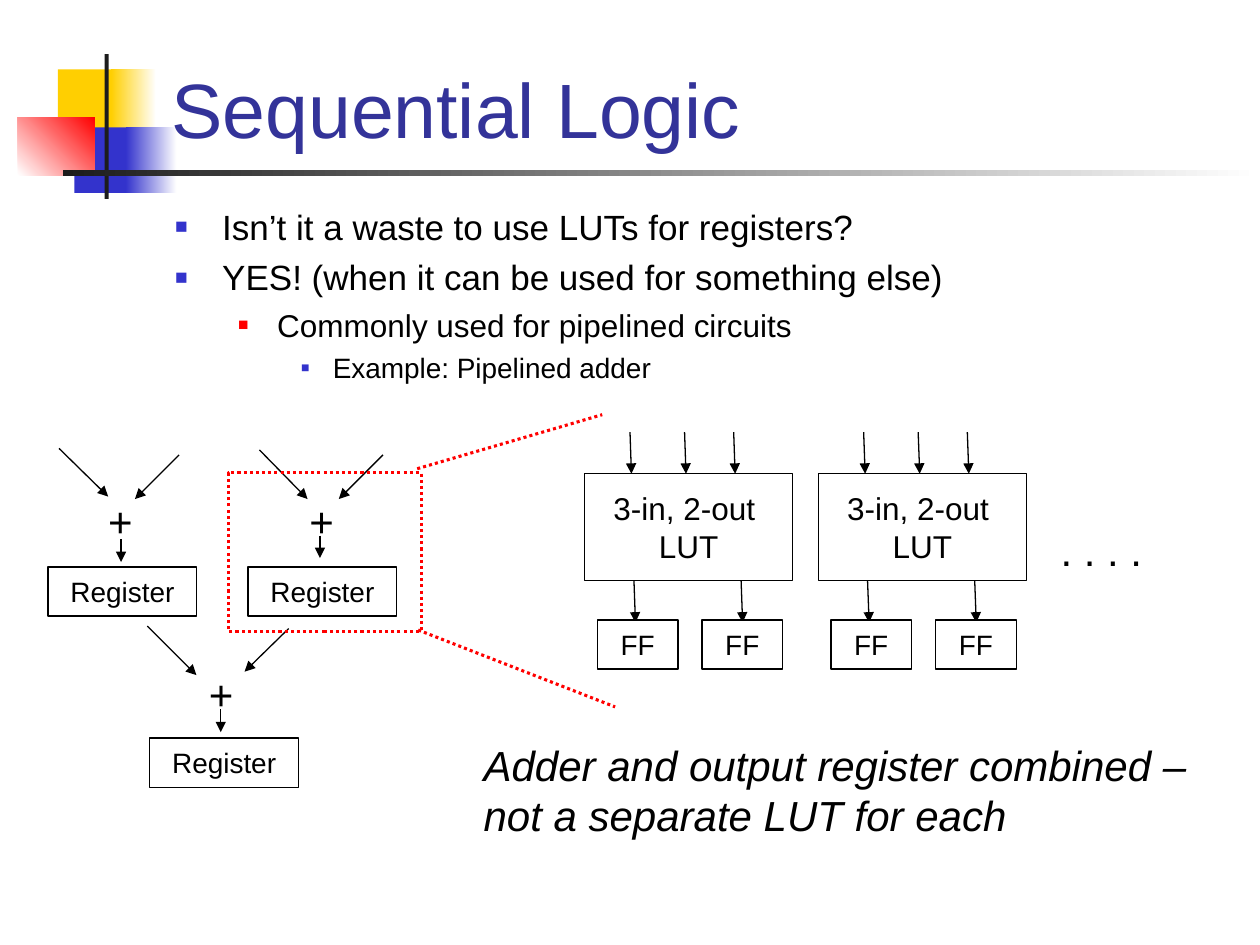
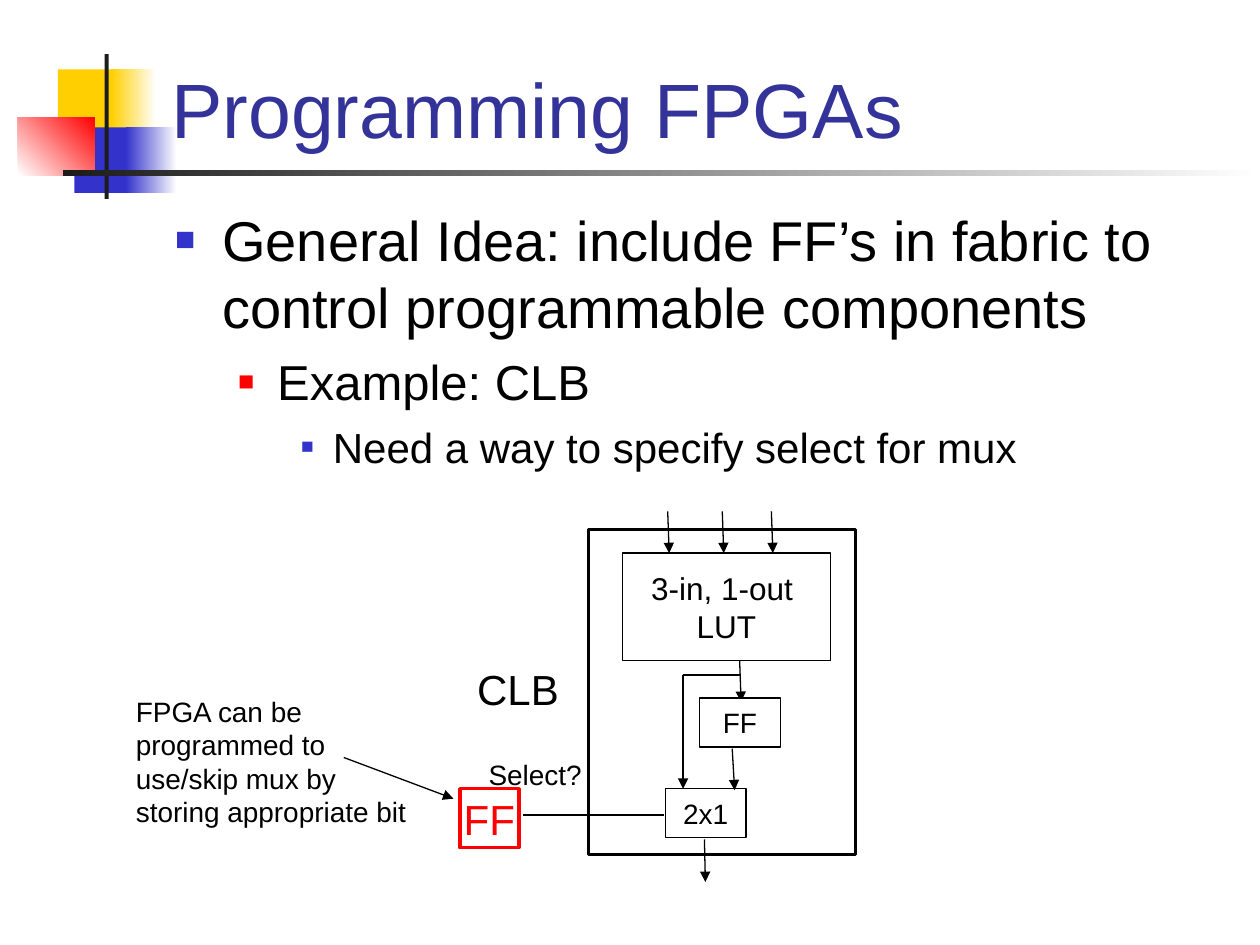
from lxml import etree
from pptx import Presentation
from pptx.dml.color import RGBColor
from pptx.enum.dml import MSO_LINE
from pptx.enum.shapes import MSO_CONNECTOR, MSO_SHAPE
from pptx.enum.text import MSO_ANCHOR, PP_ALIGN
from pptx.oxml.ns import qn
from pptx.util import Cm, Pt

BLACK = RGBColor(0x00, 0x00, 0x00)
WHITE = RGBColor(0xFF, 0xFF, 0xFF)
CHARCOAL = RGBColor(0x1C, 0x1C, 0x1C)
YELLOW = RGBColor(0xFF, 0xCF, 0x01)
BLUE = RGBColor(0x33, 0x33, 0xCC)
RED = RGBColor(0xFF, 0x00, 0x00)
INDIGO = RGBColor(0x33, 0x33, 0x99)

FONT = "Arial"
RECTANGLE = MSO_SHAPE.RECTANGLE
STRAIGHT = MSO_CONNECTOR.STRAIGHT
DOTTED = MSO_LINE.ROUND_DOT
LEFT, CENTER = PP_ALIGN.LEFT, PP_ALIGN.CENTER
TOP, MIDDLE, BOTTOM = MSO_ANCHOR.TOP, MSO_ANCHOR.MIDDLE, MSO_ANCHOR.BOTTOM
TITLE_ONLY = 5

BULLET_LEVELS = [(0.95, 0.95, BLUE, 60), (2.06, 0.79, RED, 55), (3.18, 0.64, BLUE, 50)]
BAND = [
    (1.17, 1.4, 1.22, 1.32, YELLOW, None, 0),
    (2.24, 1.4, 0.91, 1.32, YELLOW, WHITE, 0),
    (1.5, 2.57, 1.17, 1.32, BLUE, None, 0),
    (2.54, 2.57, 1.02, 1.32, BLUE, WHITE, 0),
    (0.36, 2.36, 1.55, 1.17, WHITE, RED, 45),
    (2.11, 1.09, 0.08, 2.92, CHARCOAL, None, 0),
    (1.27, 3.43, 24.13, 0.13, CHARCOAL, WHITE, 0),
]

LUT_WIDTH, LUT_HEIGHT = 4.19, 2.16
LUT_INPUTS = [0.91, 2.01, 3.0]
ARROW_DROP, ARROW_DRIFT = 0.84, 0.03
FF_SIZE = (1.63, 0.99)


class LectureDeck:
    def __init__(self):
        self.deck = Presentation()
        self.deck.slide_width = Cm(25.4)
        self.deck.slide_height = Cm(19.05)
        self.page = None

    def add_page(self, title):
        self.page = self.deck.slides.add_slide(self.deck.slide_layouts[TITLE_ONLY])
        for left, top, width, height, start, end, angle in BAND:
            block = self.box(left, top, width, height, fill=start, line=None)
            if end is not None:
                block.fill.gradient()
                block.fill.gradient_angle = angle
                for stop, color in zip(block.fill.gradient_stops, (start, end)):
                    stop.color.rgb = color
        heading = self.page.shapes.title
        self.page.shapes._spTree.append(heading._element)
        heading.left, heading.top = Cm(3.2), Cm(0.05)
        heading.width, heading.height = Cm(21.64), Cm(3.18)
        self.fill_text(heading.text_frame, [title], 44, INDIGO, anchor=BOTTOM)

    def span(self, para, text, size, color=BLACK, italic=False):
        span = para.add_run()
        span.text = text
        span.font.name = FONT
        span.font.size = Pt(size)
        span.font.color.rgb = color
        span.font.italic = italic

    def fill_text(self, frame, lines, size, color=BLACK, align=LEFT, anchor=TOP,
                  wrap=True, italic=False):
        frame.word_wrap = wrap
        frame.vertical_anchor = anchor
        for index, line in enumerate(lines):
            para = frame.add_paragraph() if index else frame.paragraphs[0]
            para.alignment = align
            self.span(para, line, size, color, italic)

    def label(self, left, top, width, height, text, size=24, italic=False):
        box = self.page.shapes.add_textbox(Cm(left), Cm(top), Cm(width), Cm(height))
        self.fill_text(box.text_frame, [text], size, italic=italic)

    def bullets(self, items):
        box = self.page.shapes.add_textbox(Cm(3.28), Cm(4.01), Cm(21.59), Cm(13))
        frame = box.text_frame
        frame.word_wrap = True
        for index, (level, text, size) in enumerate(items):
            indent, hanging, color, percent = BULLET_LEVELS[level]
            para = frame.add_paragraph() if index else frame.paragraphs[0]
            para.level = level
            properties = para._p.get_or_add_pPr()
            properties.set("marL", str(Cm(indent)))
            properties.set("indent", str(-Cm(hanging)))
            bullet_color = etree.SubElement(properties, qn("a:buClr"))
            etree.SubElement(bullet_color, qn("a:srgbClr"), val=str(color))
            etree.SubElement(properties, qn("a:buSzPct"), val=str(percent * 1000))
            etree.SubElement(properties, qn("a:buFont"), typeface=FONT)
            etree.SubElement(properties, qn("a:buChar"), char="■")
            para.space_before = Pt(size / 4 if index else 0)
            self.span(para, text, size)

    def box(self, left, top, width, height, lines=(), size=16, color=BLACK,
            fill=None, line=BLACK, weight=0.75, dash=None):
        box = self.page.shapes.add_shape(
            RECTANGLE, Cm(left), Cm(top), Cm(width), Cm(height))
        box.shadow.inherit = False
        if fill is None:
            box.fill.background()
        else:
            box.fill.solid()
            box.fill.fore_color.rgb = fill
        if line is None:
            box.line.fill.background()
        else:
            self.stroke(box.line, line, weight, dash)
        if lines:
            self.fill_text(box.text_frame, lines, size, color, CENTER, MIDDLE, wrap=False)
        return box

    def stroke(self, line, color, weight, dash):
        line.color.rgb = color
        line.width = Pt(weight)
        if dash is not None:
            line.dash_style = dash

    def line(self, x1, y1, x2, y2, color=BLACK, weight=0.75, dash=None):
        connector = self.page.shapes.add_connector(
            STRAIGHT, Cm(x1), Cm(y1), Cm(x2), Cm(y2))
        self.stroke(connector.line, color, weight, dash)
        etree.SubElement(connector._element.spPr, qn("a:effectLst"))
        return connector

    def arrow(self, x1, y1, x2, y2):
        connector = self.line(x1, y1, x2, y2)
        etree.SubElement(connector.line._get_or_add_ln(), qn("a:tailEnd"), type="triangle")

    def cell(self, left, top, text):
        self.box(left, top, *FF_SIZE, [text], fill=WHITE)

    def lut(self, left, top, ports, outputs):
        self.box(left, top, LUT_WIDTH, LUT_HEIGHT, [ports, "LUT"], 18)
        starts = [(x, top - ARROW_DROP) for x in LUT_INPUTS]
        starts += [(x, top + LUT_HEIGHT) for x in outputs]
        for x, y in starts:
            self.arrow(left + x, y, left + x + ARROW_DRIFT, y + ARROW_DROP)


def add_sequential_logic(lecture):
    lecture.add_page("Sequential Logic")
    lecture.bullets([
        (0, "Isn’t it a waste to use LUTs for registers?", 20),
        (0, "YES! (when it can be used for something else)", 20),
        (1, "Commonly used for pipelined circuits", 18),
        (2, "Example: Pipelined adder", 16),
    ])

    for lut_left in (11.79, 16.5):
        lecture.lut(lut_left, 9.55, "3-in, 2-out ", [0.99, 3.15])
        for offset in (0.25, 2.36):
            lecture.cell(lut_left + offset, 12.5, "FF")
    lecture.label(21.13, 10.44, 3.35, 1.27, ". . . .")

    for left, top in [(1.93, 9.86), (5.99, 9.86), (3.96, 13.36)]:
        lecture.label(left, top, 1.45, 1.27, "+")
    for left, top in [(0.97, 11.43), (5, 11.43), (3.02, 14.88)]:
        lecture.box(left, top, 3, 0.99, ["Register"], fill=WHITE)
    adder_arrows = [
        (1.19, 9.04, 2.18, 10.01), (3.61, 9.17, 2.72, 10.06), (2.44, 10.87, 2.44, 11.33),
        (5.23, 9.07, 6.2, 10.06), (7.72, 9.17, 6.83, 10.06), (6.45, 10.8, 6.45, 11.25),
        (2.97, 12.62, 3.96, 13.61), (5.82, 12.67, 4.93, 13.54), (4.45, 14.3, 4.45, 14.76),
    ]
    for ends in adder_arrows:
        lecture.arrow(*ends)

    zoom = {"weight": 1.75, "dash": DOTTED}
    lecture.box(4.6, 9.53, 3.89, 3.2, line=RED, **zoom)
    lecture.line(8.41, 9.45, 12.14, 8.36, RED, **zoom)
    lecture.line(8.43, 12.7, 12.4, 14.25, RED, **zoom)
    lecture.label(9.5, 14.78, 15.24, 2.29,
                  "Adder and output register combined – not a separate LUT for each",
                  italic=True)


def add_programming_fpgas(lecture):
    lecture.add_page("Programming FPGAs")
    lecture.bullets([
        (0, "General Idea: include FF’s in fabric to control programmable components", 32),
        (1, "Example: CLB", 28),
        (2, "Need a way to specify select for mux", 24),
    ])

    lecture.box(11.86, 10.67, 5.38, 6.55, weight=1.75)
    lecture.label(9.37, 13.26, 2.92, 1.27, "CLB")
    lecture.lut(12.55, 11.15, "3-in, 1-out ", [2.36])
    lecture.cell(14.1, 14.07, "FF")
    lecture.cell(13.41, 15.9, "2x1")
    lecture.line(13.77, 13.61, 14.91, 13.61)
    lecture.arrow(13.77, 13.61, 13.77, 15.9)
    lecture.arrow(14.76, 15.09, 14.81, 15.93)
    lecture.arrow(14.2, 16.92, 14.22, 17.78)

    lecture.line(10.54, 16.43, 13.39, 16.43)
    lecture.label(9.6, 15.14, 2.46, 0.94, "Select?", 16)
    lecture.box(9.27, 15.9, 1.19, 1.19, ["FF"], 24, RED, line=RED, weight=2)
    lecture.label(2.49, 13.87, 6.1, 2.97,
                  "FPGA can be programmed to use/skip mux by storing appropriate bit", 16)
    lecture.arrow(6.93, 15.27, 9.14, 16.1)


def main():
    lecture = LectureDeck()
    add_sequential_logic(lecture)
    add_programming_fpgas(lecture)
    lecture.deck.save("out.pptx")


if __name__ == "__main__":
    main()
